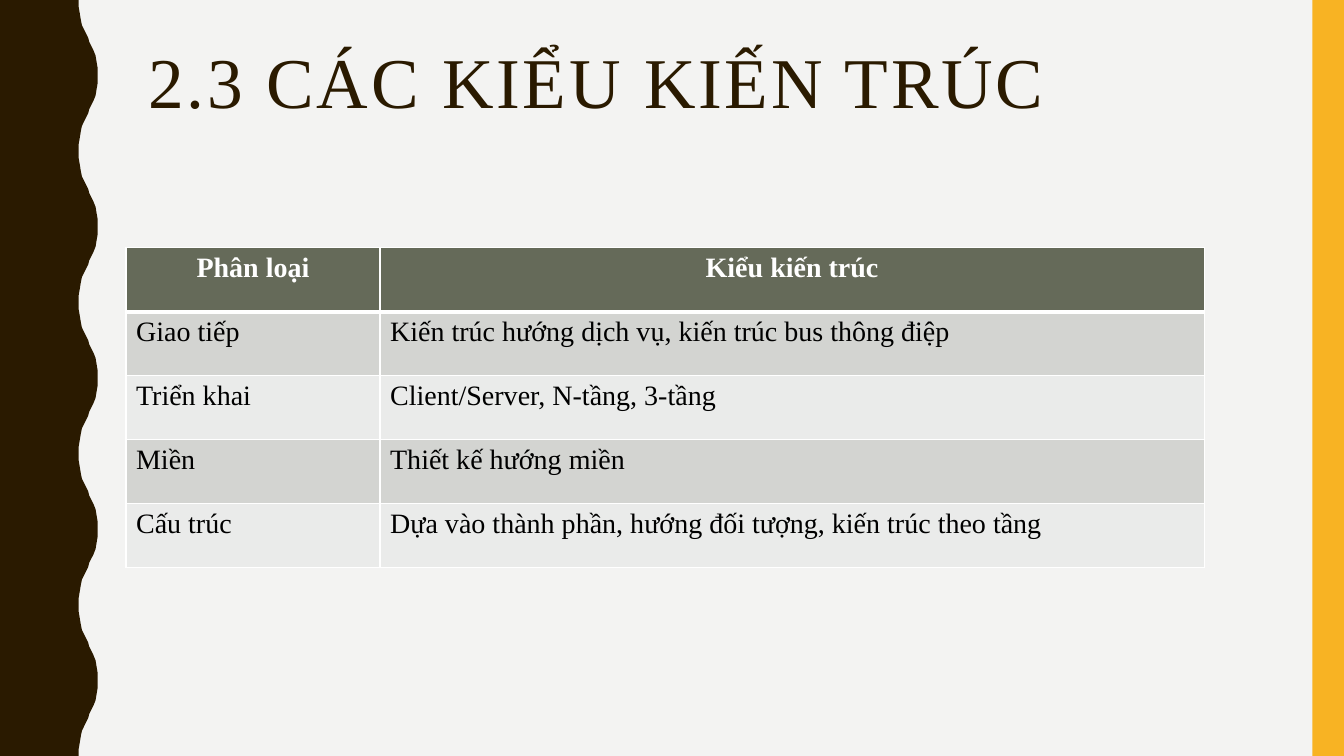
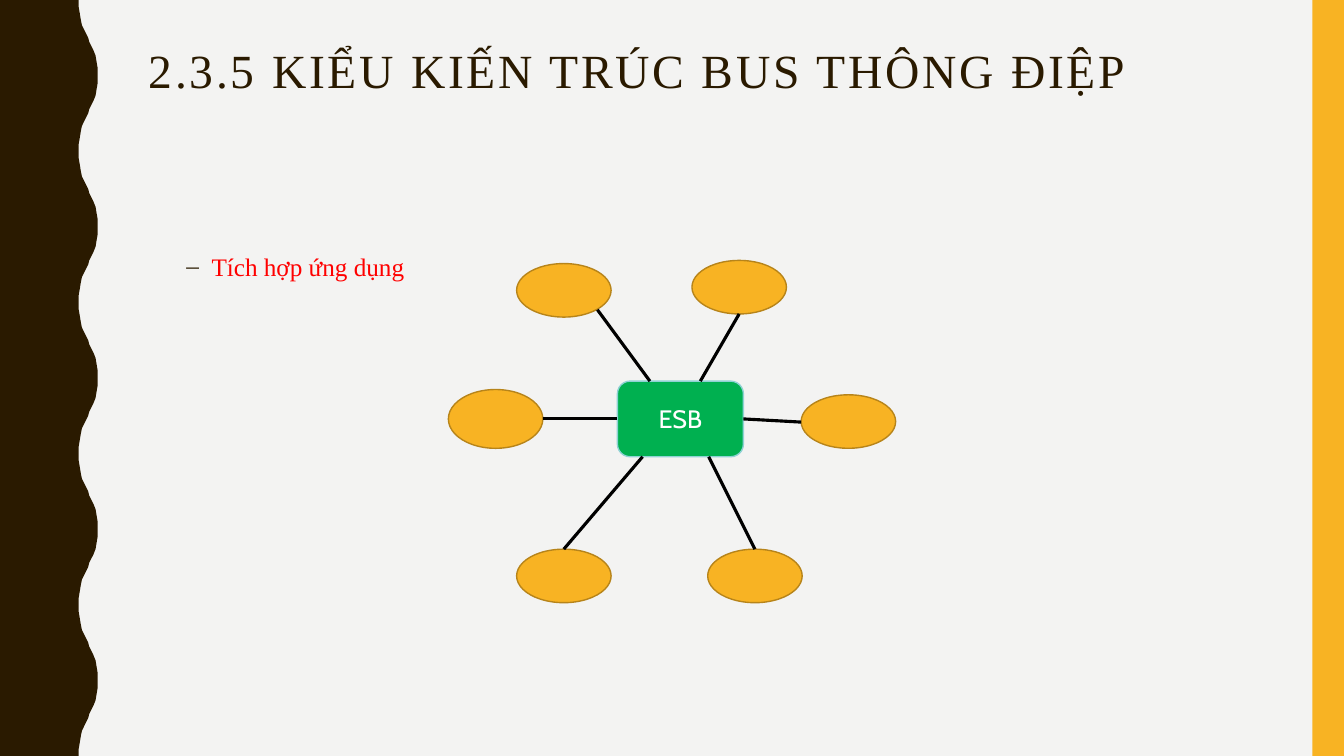
from math import sqrt

from lxml.etree import SubElement
from pptx import Presentation
from pptx.dml.color import RGBColor
from pptx.enum.shapes import MSO_CONNECTOR, MSO_SHAPE
from pptx.enum.text import MSO_ANCHOR, PP_ALIGN
from pptx.oxml.ns import qn
from pptx.util import Pt

# Shared look
PX = 9525
SLIDE_W, SLIDE_H = 1280, 720
PAPER, BROWN, AMBER, AMBER_EDGE = "F3F3F2", "2A1A00", "F8B323", "B7841A"
WHITE, BLACK, RED, GREEN, AQUA = "FFFFFF", "000000", "FF0000", "00B050", "8FD2D4"
HEADER_FILL, ROW_FILLS = "656A59", ("D3D4D1", "EAEBEA")
SERIF, SANS = "Times New Roman", "Cabin"
TITLE_BOX = (132, 40, 1068, 156)

# Half a wave of the left band: (x, y), mirrored for the other half
WAVE_HALF = [(75, 0), (75, 7), (76, 13), (77, 19), (78, 24), (80, 28), (82, 32),
             (84, 36), (85, 40), (87, 44), (89, 48), (91, 53), (92, 59), (93, 65), (93, 72)]
WAVE_PERIOD = 144


def px(*lengths):
    return [length * PX for length in lengths]


def rgb(color):
    return RGBColor.from_string(color)


def paint(shape, fill, edge=None):
    shape.shadow.inherit = False
    shape.fill.solid()
    shape.fill.fore_color.rgb = rgb(fill)
    if edge:
        shape.line.color.rgb = rgb(edge)
        shape.line.width = Pt(1)
    else:
        shape.line.fill.background()


def style(paragraph, size, color, face=SERIF, bold=False, align=PP_ALIGN.LEFT):
    paragraph.alignment = align
    font = paragraph.font
    font.name, font.size, font.bold = face, Pt(size), bold
    font.color.rgb = rgb(color)


def add_text(slide, box, text):
    frame = slide.shapes.add_textbox(*px(*box)).text_frame
    frame.word_wrap = True
    paragraph = frame.paragraphs[0]
    paragraph.text = text
    return paragraph


def add_bands(slide):
    # Wavy band on the left
    mirrored = [(x, WAVE_PERIOD - y) for x, y in reversed(WAVE_HALF[1:-1])]
    edge = [(x, y + start) for start in range(0, SLIDE_H, WAVE_PERIOD)
            for x, y in WAVE_HALF + mirrored]
    outline = slide.shapes.build_freeform(0, 0, scale=PX)
    outline.add_line_segments(edge + [(WAVE_HALF[0][0], SLIDE_H), (0, SLIDE_H)], close=True)
    paint(outline.convert_to_shape(), BROWN)
    # Straight band on the right
    band = slide.shapes.add_shape(MSO_SHAPE.RECTANGLE, *px(1250, 0, 30, SLIDE_H))
    paint(band, AMBER)


def add_titled_slide(deck, title, size):
    slide = deck.slides.add_slide(deck.slide_layouts[6])
    slide.background.fill.solid()
    slide.background.fill.fore_color.rgb = rgb(PAPER)
    add_bands(slide)
    heading = add_text(slide, TITLE_BOX, title)
    heading.line_spacing = 0.9
    style(heading, size, BROWN)
    heading.runs[0].font.size = Pt(size)
    heading.runs[0]._r.get_or_add_rPr().set("spc", "200")
    return slide


def set_borders(cell, top=1, bottom=1):
    properties = cell._tc.get_or_add_tcPr()
    for index, (side, width) in enumerate(
            (("lnL", 1), ("lnR", 1), ("lnT", top), ("lnB", bottom))):
        border = properties.makeelement(qn(f"a:{side}"), {"w": str(Pt(width))})
        fill = SubElement(border, qn("a:solidFill"))
        SubElement(fill, qn("a:srgbClr"), val=WHITE)
        properties.insert(index, border)


def add_style_table(slide, box, column_widths, rows):
    table = slide.shapes.add_table(len(rows), len(column_widths), *px(*box)).table
    for column, width in zip(table.columns, px(*column_widths)):
        column.width = width
    for r, row in enumerate(rows):
        is_header = r == 0
        table.rows[r].height = box[3] // len(rows) * PX
        for c, text in enumerate(row):
            cell = table.cell(r, c)
            cell.text = text
            cell.fill.solid()
            cell.fill.fore_color.rgb = rgb(HEADER_FILL if is_header else ROW_FILLS[(r - 1) % 2])
            set_borders(cell, top=3 if r == 1 else 1, bottom=3 if is_header else 1)
            style(cell.text_frame.paragraphs[0], 20, WHITE if is_header else BLACK,
                  bold=is_header, align=PP_ALIGN.CENTER if is_header else PP_ALIGN.LEFT)


def add_dash_point(slide, box, text):
    point = add_text(slide, box, text)
    point.line_spacing = 1.5
    properties = point._p.get_or_add_pPr()
    properties.set("marL", str(72 * PX))
    properties.set("indent", str(-24 * PX))
    bullet_color = SubElement(properties, qn("a:buClr"))
    SubElement(bullet_color, qn("a:srgbClr"), val=BROWN)
    SubElement(properties, qn("a:buFont"), typeface=SERIF)
    SubElement(properties, qn("a:buChar"), char="–")
    style(point, 18, RED)


def add_bus_diagram(slide, left, top):
    group = slide.shapes.add_group_shape().shapes
    node_w = 90
    diagonal = 0.5 + sqrt(2) / 4
    # Application: x, y, height; spoke start as a share of it; spoke end; hub side
    applications = [
        (65, 3, 51, (diagonal, diagonal), (192, 115), None),
        (0, 123, 56, (1, 0.5), (161, 151), 1),
        (232, 0, 51, (0.5, 1), (240, 115), None),
        (65, 275, 51, (0.5, 0), (185, 187), None),
        (336, 128, 51, (0, 0.5), (281, 151), 3),
        (247, 275, 51, (0.5, 0), (248, 187), None),
    ]
    # Applications
    for x, y, height, *_ in applications:
        node = group.add_shape(MSO_SHAPE.OVAL, *px(left + x, top + y, node_w, height))
        paint(node, AMBER, AMBER_EDGE)
    # Bus hub
    hub = group.add_shape(MSO_SHAPE.ROUNDED_RECTANGLE, *px(left + 161, top + 115, 120, 72))
    paint(hub, GREEN, AQUA)
    hub.text_frame.vertical_anchor = MSO_ANCHOR.MIDDLE
    label = hub.text_frame.paragraphs[0]
    label.text = "ESB"
    style(label, 18, WHITE, face=SANS, align=PP_ALIGN.CENTER)
    # Spokes
    for x, y, height, (share_x, share_y), (hub_x, hub_y), hub_side in applications:
        start = (left + x + round(node_w * share_x), top + y + round(height * share_y))
        spoke = group.add_connector(MSO_CONNECTOR.STRAIGHT,
                                    *px(*start, left + hub_x, top + hub_y))
        spoke.line.color.rgb = rgb(BLACK)
        spoke.line.width = Pt(2.25)
        SubElement(spoke._element.spPr, qn("a:effectLst"))
        if hub_side is not None:
            spoke.end_connect(hub, hub_side)


def main():
    deck = Presentation()
    deck.slide_width, deck.slide_height = px(SLIDE_W, SLIDE_H)

    styles = add_titled_slide(deck, "2.3 CÁC KIỂU KIẾN TRÚC", 51)
    add_style_table(styles, (120, 236, 1027, 305), (242, 785), [
        ("Phân loại", "Kiểu kiến trúc"),
        ("Giao tiếp", "Kiến trúc hướng dịch vụ, kiến trúc bus thông điệp"),
        ("Triển khai", "Client/Server, N-tầng, 3-tầng"),
        ("Miền", "Thiết kế hướng miền"),
        ("Cấu trúc", "Dựa vào thành phần, hướng đối tượng, kiến trúc theo tầng"),
    ])

    message_bus = add_titled_slide(deck, "2.3.5 KIỂU KIẾN TRÚC BUS THÔNG ĐIỆP", 34)
    add_dash_point(message_bus, (120, 220, 1040, 435), "Tích hợp ứng dụng")
    add_bus_diagram(message_bus, 427, 248)

    deck.save("out.pptx")


if __name__ == "__main__":
    main()
